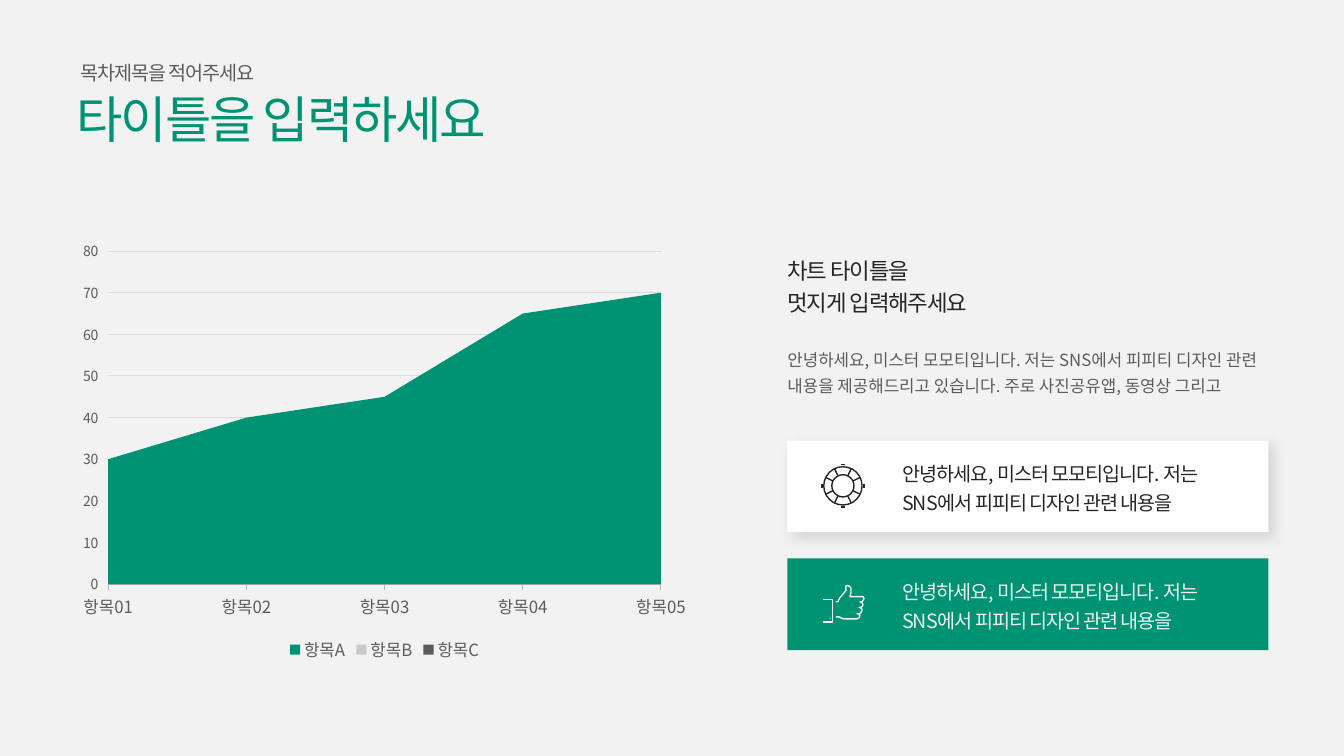
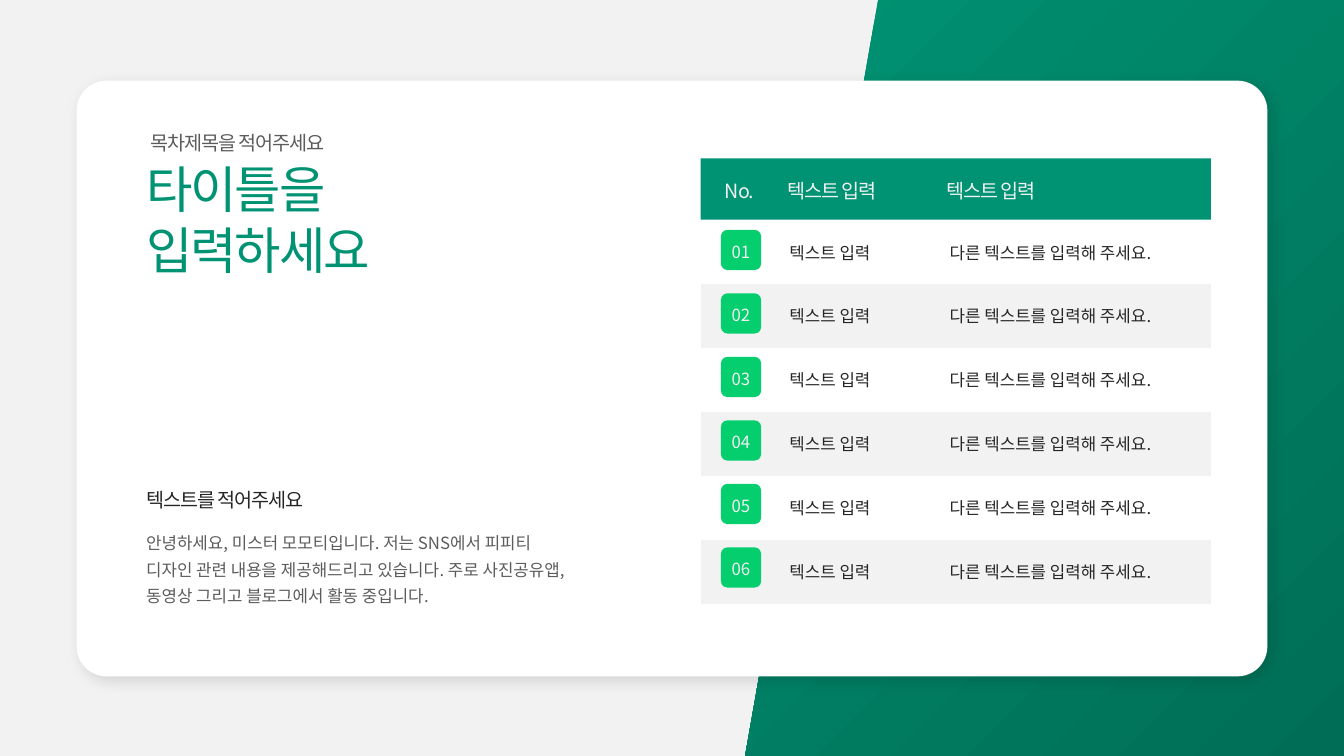
from math import cos, radians, sin

from lxml import etree
from pptx import Presentation
from pptx.chart.data import CategoryChartData
from pptx.dml.color import RGBColor
from pptx.enum.chart import XL_CHART_TYPE, XL_LEGEND_POSITION, XL_TICK_MARK
from pptx.enum.shapes import MSO_CONNECTOR, MSO_SHAPE
from pptx.enum.text import MSO_ANCHOR, MSO_AUTO_SIZE, PP_ALIGN
from pptx.oxml import parse_xml
from pptx.oxml.ns import nsdecls, qn
from pptx.util import Inches, Pt

FONT = "Noto Sans CJK KR"
COLORS = {
    "paper": "F2F2F2", "white": "FFFFFF", "green": "009373", "deep": "006E56",
    "badge": "04CE6E", "ink": "262626", "gray": "5C5C5C", "silver": "C9C9C9",
    "grid": "DADADA", "axis": "B5B5B5",
}
SUBTITLE = "목차제목을 적어주세요"
INTRO = "안녕하세요, 미스터 모모티입니다. 저는 SNS에서 피피티 디자인 관련 내용을"
BODY = INTRO + " 제공해드리고 있습니다. 주로 사진공유앱, 동영상 그리고"

CATEGORIES = ["항목01", "항목02", "항목03", "항목04", "항목05"]
SERIES = [
    ("항목A", [30, 40, 45, 65, 70], "green"),
    ("항목B", [20, 25, 33, 30, 35], "silver"),
    ("항목C", [10, 15, 16, 20, 25], "gray"),
]
PLOT_AREA = {"x": 0.06, "y": 0.04, "w": 0.88, "h": 0.77}

TABLE_HEADER = [("No.", 7.19, 0.33), ("텍스트 입력", 7.81, 0.93), ("텍스트 입력", 9.39, 0.93)]
TABLE_ROWS = [(f"{n:02}", "텍스트 입력", "다른 텍스트를 입력해 주세요.") for n in range(1, 7)]
COLUMN_WIDTHS = [0.78, 1.59, 2.69]
TABLE_LEFT, TABLE_TOP, TABLE_HEIGHT = 6.95, 2.18, 3.81
NO_GRID_STYLE = "{2D5ABB26-0587-4C30-8999-92F81FD0307C}"

HAND = [
    (8.29, 6.12), (8.32, 6.12), (8.34, 6.13), (8.37, 6.14), (8.5, 6.14), (8.52, 6.13),
    (8.53, 6.11), (8.52, 6.09), (8.5, 6.09), (8.52, 6.09), (8.54, 6.08), (8.55, 6.05),
    (8.54, 6.03), (8.52, 6.03), (8.55, 6.02), (8.56, 6), (8.55, 5.98), (8.53, 5.97),
    (8.55, 5.97), (8.57, 5.94), (8.56, 5.92), (8.54, 5.92), (8.43, 5.92), (8.44, 5.88),
    (8.44, 5.84), (8.43, 5.82), (8.41, 5.81), (8.39, 5.81), (8.39, 5.86), (8.33, 5.93),
    (8.31, 5.97), (8.29, 5.97),
]
CUFF = [(8.16, 5.95), (8.26, 5.95), (8.26, 6.17), (8.16, 6.17)]


def rgb(name):
    return RGBColor.from_string(COLORS[name])


def style_font(font, size, color):
    font.size, font.name = Pt(size), FONT
    font.fill.solid()
    font.fill.fore_color.rgb = rgb(color)
    east_asian = etree.SubElement(font._rPr, qn("a:ea"))
    east_asian.set("typeface", FONT)


def write(frame, lines, size, color, spacing=0, leading=None, align=None):
    frame.text = "\n".join(lines)
    for paragraph in frame.paragraphs:
        paragraph.alignment = align
        paragraph.line_spacing = leading
        for run in paragraph.runs:
            style_font(run.font, size, color)
            if spacing:
                run.font._rPr.set("spc", str(round(spacing * 100)))


def add_text(slide, box, lines, size, color, spacing=0, leading=None, wrap=False):
    frame = slide.shapes.add_textbox(*map(Inches, box)).text_frame
    frame.margin_left = frame.margin_right = frame.margin_top = frame.margin_bottom = 0
    frame.word_wrap = wrap
    frame.auto_size = MSO_AUTO_SIZE.SHAPE_TO_FIT_TEXT
    write(frame, lines, size, color, spacing, leading)


def add_shape(slide, box, fill, preset=MSO_SHAPE.RECTANGLE):
    shape = slide.shapes.add_shape(preset, *map(Inches, box))
    shape.shadow.inherit = False
    shape.fill.solid()
    shape.fill.fore_color.rgb = rgb(fill)
    shape.line.fill.background()
    return shape


def cast_shadow(shape):
    """Give the shape a soft shadow to the lower right."""
    effects = shape.element.spPr.find(qn("a:effectLst"))
    effects.append(parse_xml(
        f'<a:outerShdw {nsdecls("a")} blurRad="{Pt(10)}" dist="{Pt(5)}" dir="2700000" '
        'algn="tl" rotWithShape="0"><a:srgbClr val="000000">'
        '<a:alpha val="13000"/></a:srgbClr></a:outerShdw>'))


def add_outline(slide, points, close=False):
    corners = [(Inches(x), Inches(y)) for x, y in points]
    builder = slide.shapes.build_freeform(*corners[0])
    builder.add_line_segments(corners[1:], close=close)
    shape = builder.convert_to_shape()
    shape.shadow.inherit = False
    return shape


def stroke(shape, color):
    shape.line.color.rgb = rgb(color)
    shape.line.width = Pt(1)


def add_slide(prs):
    slide = prs.slides.add_slide(prs.slide_layouts[6])
    slide.background.fill.solid()
    slide.background.fill.fore_color.rgb = rgb("paper")
    return slide


def add_title(slide, left, top, width, lines):
    add_text(slide, (left, top, width, 0.61 * len(lines)), lines, 36, "green", -1.5)
    add_text(slide, (left + 0.04, top - 0.27, 1.82, 0.24), [SUBTITLE], 14, "gray", -0.8)


def add_lifebuoy(slide, cx, cy, color):
    outer, inner, tick = 0.19, 0.11, 0.21

    def add_line(start, end):
        ends = (cx + start[0], cy + start[1], cx + end[0], cy + end[1])
        line = slide.shapes.add_connector(MSO_CONNECTOR.STRAIGHT, *map(Inches, ends))
        etree.SubElement(line.element.spPr, qn("a:effectLst"))
        stroke(line, color)

    def polar(radius, degrees):
        return radius * cos(radians(degrees)), radius * sin(radians(degrees))

    for radius in (outer, inner):
        ring = add_shape(slide, (cx - radius, cy - radius, 2 * radius, 2 * radius),
                         "white", MSO_SHAPE.OVAL)
        ring.fill.background()
        stroke(ring, color)
    for axis in range(0, 360, 90):
        add_line(polar(tick, axis - 6), polar(tick, axis + 6))
        for side in (-26, 26):
            add_line(polar(inner, axis + side), polar(outer, axis + side))


def add_thumb(slide, color):
    for points in (HAND, CUFF):
        part = add_outline(slide, points)
        part.fill.background()
        stroke(part, color)
    add_shape(slide, (8.23, 6.13, 0.01, 0.01), color)


def add_area_chart(slide):
    data = CategoryChartData()
    data.categories = CATEGORIES
    for name, values, _ in SERIES:
        data.add_series(name, values)
    box = map(Inches, (0.7, 2.32, 6.23, 4.29))
    chart = slide.shapes.add_chart(XL_CHART_TYPE.AREA, *box, data).chart
    chart.has_title = False
    style_font(chart.font, 10, "gray")
    chart.has_legend = True
    chart.legend.position = XL_LEGEND_POSITION.BOTTOM
    chart.legend.include_in_layout = False
    style_font(chart.legend.font, 12, "gray")

    plot = chart.plots[0]
    plot.vary_by_categories = False
    for series, (_, _, color) in zip(plot.series, SERIES):
        series.format.fill.solid()
        series.format.fill.fore_color.rgb = rgb(color)

    items, amounts = chart.category_axis, chart.value_axis
    for axis, size in ((items, 12), (amounts, 10)):
        style_font(axis.tick_labels.font, size, "gray")
        axis.major_tick_mark = XL_TICK_MARK.OUTSIDE
        axis.minor_tick_mark = XL_TICK_MARK.NONE
    items.has_major_gridlines = False
    amounts.has_major_gridlines = True
    amounts.minimum_scale, amounts.maximum_scale, amounts.major_unit = 0, 80, 10
    amounts.format.line.fill.background()
    for line, color in ((items.format.line, "axis"),
                        (amounts.major_gridlines.format.line, "grid")):
        line.color.rgb = rgb(color)
        line.width = Pt(0.75)

    plot_area = chart.element.find(".//" + qn("c:plotArea"))
    for layout in plot_area.findall(qn("c:layout")):
        plot_area.remove(layout)
    sizes = "".join(f'<c:{key} val="{value}"/>' for key, value in PLOT_AREA.items())
    plot_area.insert(0, parse_xml(
        f'<c:layout {nsdecls("c")}><c:manualLayout><c:layoutTarget val="inner"/>'
        f'<c:xMode val="edge"/><c:yMode val="edge"/>{sizes}</c:manualLayout></c:layout>'))


def build_chart_slide(prs):
    slide = add_slide(prs)
    add_title(slide, 0.76, 0.87, 4.3, ["타이틀을 입력하세요"])
    add_area_chart(slide)
    left, width = 7.81, 4.77
    add_text(slide, (left, 2.5, 1.89, 0.65), ["차트 타이틀을", "멋지게 입력해주세요"],
             16, "ink", -0.8, 1.2)
    add_text(slide, (left, 3.41, width, 0.5), [BODY], 12, "gray", leading=1.3, wrap=True)
    for top, fill, color in ((4.37, "white", "ink"), (5.54, "green", "paper")):
        card = add_shape(slide, (left, top, width, 0.91), fill)
        if fill == "white":
            cast_shadow(card)
        add_text(slide, (left + 1.14, top + 0.17, 3.19, 0.57), [INTRO],
                 14, color, -0.8, 1.2, wrap=True)
    add_lifebuoy(slide, 8.36, 4.82, "ink")
    add_thumb(slide, "paper")


def add_item_table(slide):
    width = sum(COLUMN_WIDTHS)
    box = map(Inches, (TABLE_LEFT, TABLE_TOP, width, TABLE_HEIGHT))
    frame = slide.shapes.add_table(len(TABLE_ROWS), len(COLUMN_WIDTHS), *box)
    table = frame.table
    table.first_row = table.horz_banding = False
    frame.element.find(".//" + qn("a:tableStyleId")).text = NO_GRID_STYLE
    for column, column_width in zip(table.columns, COLUMN_WIDTHS):
        column.width = Inches(column_width)
    for r, row in enumerate(TABLE_ROWS):
        for c, value in enumerate(row):
            cell = table.cell(r, c)
            cell.vertical_anchor = MSO_ANCHOR.MIDDLE
            if r % 2:
                cell.fill.solid()
                cell.fill.fore_color.rgb = rgb("paper")
            else:
                cell.fill.background()
            write(cell.text_frame, [value], 12, "ink" if c else "white",
                  align=None if c else PP_ALIGN.CENTER)

    add_shape(slide, (TABLE_LEFT, 1.57, width, 0.61), "green")
    for label, left, label_width in TABLE_HEADER:
        add_text(slide, (left, 1.78, label_width, 0.24), [label], 14, "paper", -0.8)
    for r, (number, *_) in enumerate(TABLE_ROWS):
        badge = add_shape(slide, (TABLE_LEFT + 0.2, TABLE_TOP + 0.1 + 0.63 * r, 0.4, 0.4),
                          "badge", MSO_SHAPE.ROUNDED_RECTANGLE)
        frame = badge.text_frame
        frame.word_wrap = False
        frame.vertical_anchor = MSO_ANCHOR.MIDDLE
        frame.margin_top = Inches(0.08)
        write(frame, [number], 12, "paper", align=PP_ALIGN.CENTER)


def build_table_slide(prs):
    slide = add_slide(prs)
    band = add_outline(slide, [(8.71, 0), (13.33, 0), (13.33, 7.5), (7.39, 7.5)], close=True)
    band.line.fill.background()
    band.fill.gradient()
    band.fill.gradient_angle = 315
    for stop, color, position in zip(band.fill.gradient_stops, ("green", "deep"), (0, 1)):
        stop.color.rgb = rgb(color)
        stop.position = position
    card = add_shape(slide, (0.76, 0.8, 11.81, 5.91), "white", MSO_SHAPE.ROUNDED_RECTANGLE)
    card.adjustments[0] = 0.05
    cast_shadow(card)
    left = 1.45
    add_title(slide, left, 1.57, 2.32, ["타이틀을", "입력하세요"])
    add_text(slide, (left, 4.84, 1.65, 0.24), ["텍스트를 적어주세요"], 14, "ink", -0.8)
    add_text(slide, (left, 5.23, 4.3, 0.76), [BODY + " 블로그에서 활동 중입니다."],
             12, "gray", leading=1.3, wrap=True)
    add_item_table(slide)


def main():
    prs = Presentation()
    prs.slide_width, prs.slide_height = Inches(13.33), Inches(7.5)
    build_chart_slide(prs)
    build_table_slide(prs)
    prs.save("out.pptx")


if __name__ == "__main__":
    main()
